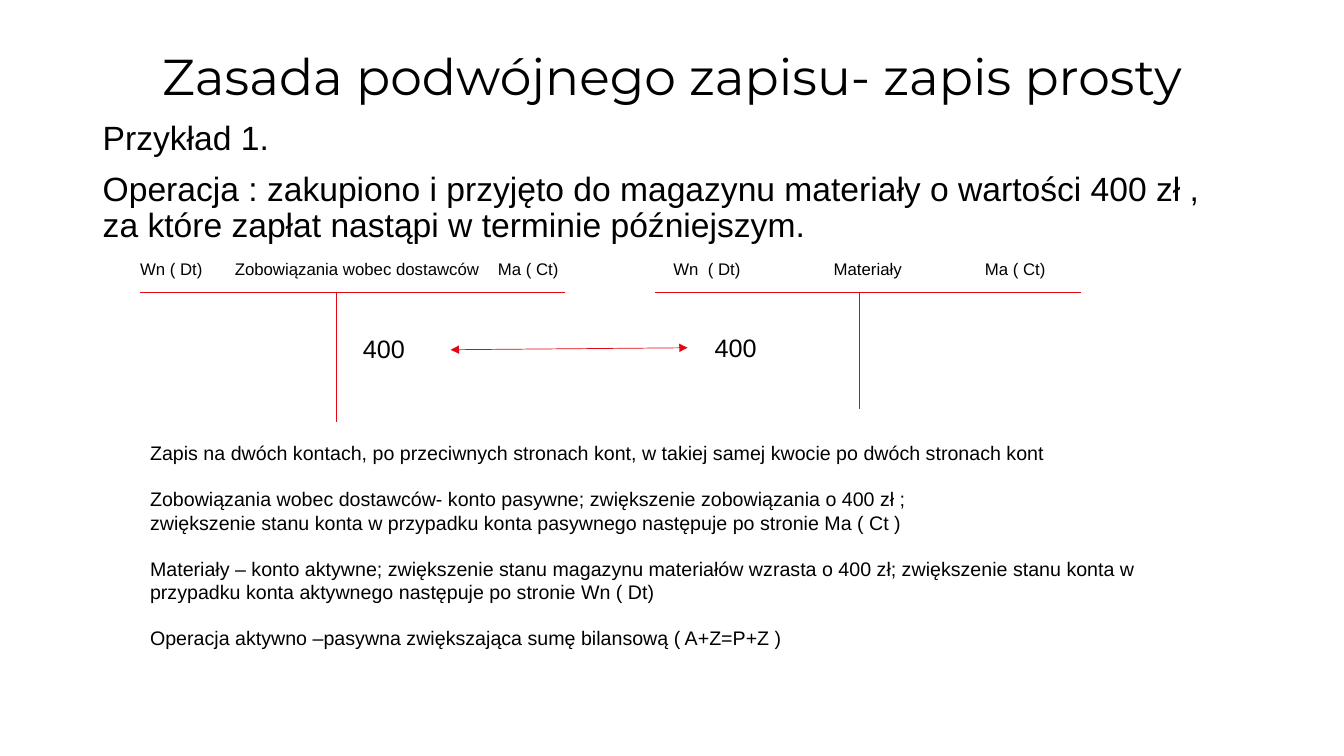
from lxml.etree import SubElement
from pptx import Presentation
from pptx.dml.color import RGBColor
from pptx.enum.shapes import MSO_CONNECTOR
from pptx.enum.text import MSO_ANCHOR, MSO_AUTO_SIZE, PP_ALIGN
from pptx.oxml.ns import qn
from pptx.util import Inches, Pt

BLACK = RGBColor(0x00, 0x00, 0x00)
RED = RGBColor(0xE3, 0x06, 0x13)
WIDTH, HEIGHT = 13.33, 7.5
MARGIN = 0.92
INSET = 0.1
LABEL_RISE = 0.38  # label box top above the account's bar

EXPLANATION = [
    "Zapis na dwóch kontach, po przeciwnych stronach kont, w takiej samej kwocie po dwóch stronach kont",
    "Zobowiązania wobec dostawców- konto pasywne; zwiększenie zobowiązania o 400 zł ;",
    "zwiększenie stanu konta w przypadku konta pasywnego następuje po stronie Ma ( Ct )",
    "Materiały – konto aktywne; zwiększenie stanu magazynu materiałów wzrasta o 400 zł; "
    "zwiększenie stanu konta w przypadku konta aktywnego następuje po stronie Wn ( Dt)",
    "Operacja aktywno –pasywna zwiększająca sumę bilansową ( A+Z=P+Z )",
]


def place(sp, left, top, width, height):
    sp.left, sp.top = Inches(left), Inches(top)
    sp.width, sp.height = Inches(width), Inches(height)


def write(tf, paragraphs, size, font="Arial", align=PP_ALIGN.LEFT,
          spacing=1.0, gap=0, joined=(), tabs=()):
    """Fill a text frame; paragraphs whose index is in joined get no gap before."""
    tf.word_wrap = True
    tf.auto_size = MSO_AUTO_SIZE.NONE
    for i, text in enumerate(paragraphs):
        p = tf.paragraphs[0] if i == 0 else tf.add_paragraph()
        p.alignment = align
        p.line_spacing = spacing
        p.space_before = Pt(gap if i and i not in joined else 0)
        if tabs:
            stops = SubElement(p._p.get_or_add_pPr(), qn("a:tabLst"))
            for pos in tabs:
                SubElement(stops, qn("a:tab"), pos=str(Inches(pos)), algn="l")
        r = p.add_run()
        r.text = text
        r.font.size, r.font.name = Pt(size), font
        r.font.color.rgb = BLACK


def add_text(s, box, paragraphs, size, **fmt):
    sp = s.shapes.add_textbox(*(Inches(v) for v in box))
    write(sp.text_frame, paragraphs, size, **fmt)


def add_line(s, x1, y1, x2, y2, arrows=False):
    line = s.shapes.add_connector(MSO_CONNECTOR.STRAIGHT,
                                  *(Inches(v) for v in (x1, y1, x2, y2)))
    line.line.color.rgb = RED
    line.line.width = Pt(0.5)
    if arrows:
        for end in ("a:headEnd", "a:tailEnd"):
            SubElement(line.line._ln, qn(end), type="triangle")
    SubElement(line._element.spPr, qn("a:effectLst"))


def add_heading(s, left, top, width):
    title = s.shapes.title
    place(title, left, top, width, 0.77)
    title.text_frame.vertical_anchor = MSO_ANCHOR.MIDDLE
    write(title.text_frame, ["Zasada podwójnego zapisu- zapis prosty"], 36,
          font="Montserrat", align=PP_ALIGN.CENTER, spacing=0.9)
    add_text(s, (left, top + 0.76, width, 1.36),
             ["Przykład 1.",
              "Operacja : zakupiono i przyjęto do magazynu materiały o wartości 400 zł , "
              "za które zapłat nastąpi w terminie późniejszym."],
             24, spacing=0.9, gap=10)


def add_account(s, box, labels, label_x, tabs, stem_x, amount_x, amount_y):
    """T account: bar on the box's top edge; x and y offsets run from its corner."""
    left, top, width, height = box
    add_line(s, left, top, left + width, top)
    add_line(s, left + stem_x, top, left + stem_x, top + height)
    add_text(s, (left + label_x - INSET, top - LABEL_RISE, 4.45, 0.3),
             ["\t".join(labels)], 12, tabs=tabs)
    add_text(s, (left + amount_x - INSET, top + amount_y, 0.8, 0.4), ["400"], 18)


def add_accounts(s, top):
    add_account(s, (1.39, top, 4.21, 1.29),
                ["Wn ( Dt)", "Zobowiązania wobec dostawców", "Ma ( Ct)"],
                label_x=0, tabs=(0.94, 3.55), stem_x=1.95, amount_x=2.21, amount_y=0.36)
    add_account(s, (6.5, top, 4.22, 1.16), ["Wn  ( Dt)", "Materiały", "Ma ( Ct)"],
                label_x=0.18, tabs=(1.59, 3.09), stem_x=2.02, amount_x=0.59, amount_y=0.35)
    add_line(s, 4.47, top + 0.57, 6.82, top + 0.55, arrows=True)


def main():
    prs = Presentation()
    prs.slide_width, prs.slide_height = Inches(WIDTH), Inches(HEIGHT)
    s = prs.slides.add_slide(prs.slide_layouts[5])
    add_heading(s, MARGIN, 0.4, WIDTH - 2 * MARGIN)
    add_accounts(s, 2.9)
    add_text(s, (1.39, 4.33, 10.66, 2.2), EXPLANATION, 14, gap=16, joined=(2,))
    prs.save("out.pptx")


if __name__ == "__main__":
    main()
